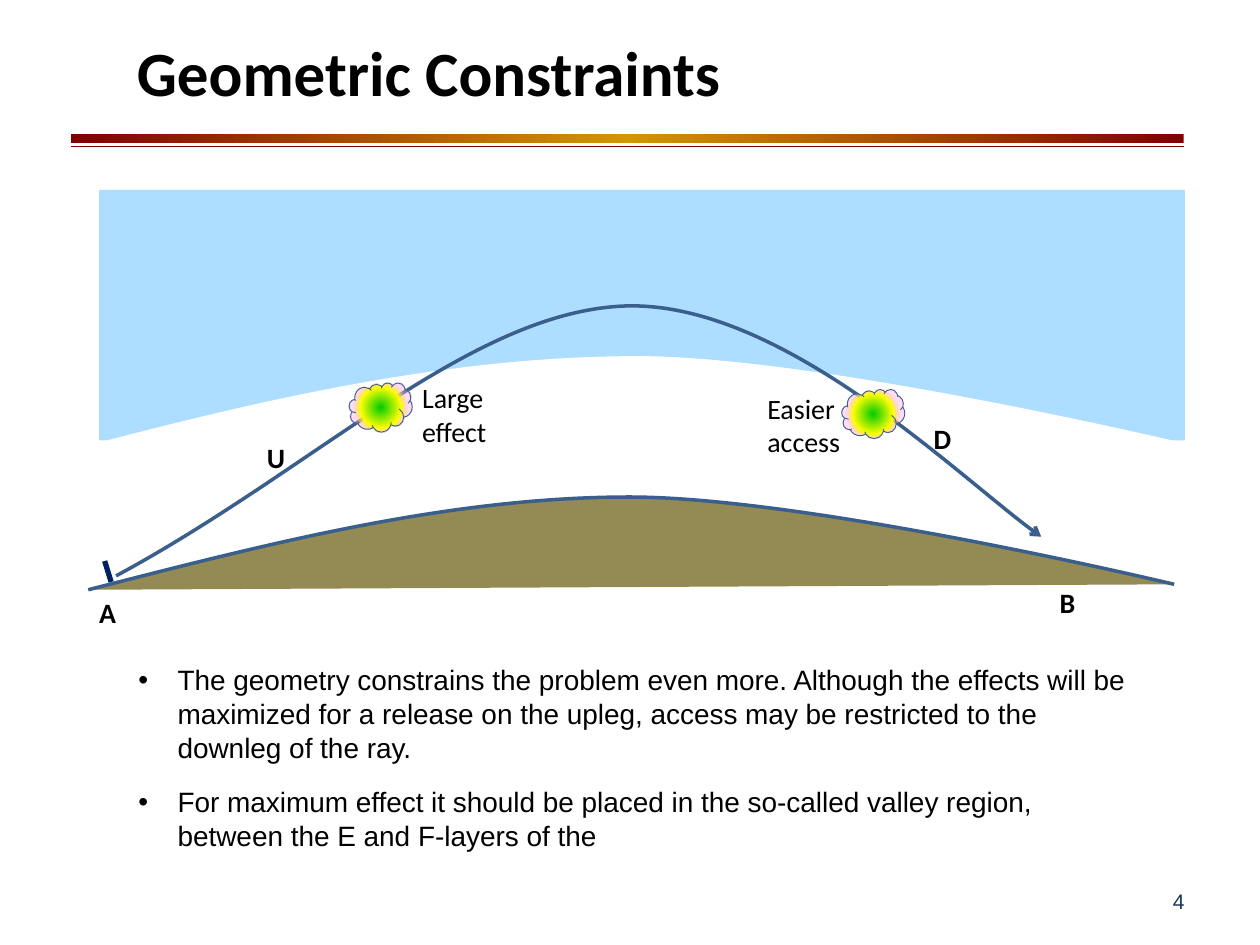
from dataclasses import dataclass

from lxml.etree import SubElement
from pptx import Presentation
from pptx.dml.color import RGBColor
from pptx.enum.shapes import MSO_CONNECTOR, MSO_SHAPE
from pptx.enum.text import MSO_ANCHOR, PP_ALIGN
from pptx.oxml import parse_xml
from pptx.oxml.ns import nsdecls, qn
from pptx.util import Cm, Pt


@dataclass(frozen=True)
class Theme:
    """Colours, fonts and type sizes of the deck."""
    ink: str = "000000"
    paper: str = "FFFFFF"
    maroon: str = "800000"
    gold: str = "D29600"
    number: str = "17375E"
    earth: str = "948A54"
    sky: str = "0096FF"
    sky_alpha: int = 32
    outline: str = "3A5F8C"
    antenna: str = "002060"
    cloud_stops: tuple = ((0, "00CC00", 100), (50, "FFFF00", 100), (69, "FFA2F3", 37))
    heading_font: str = "Calibri"
    body_font: str = "Arial"
    title_size: int = 36
    text_size: int = 16
    number_size: int = 12


THEME = Theme()


def rgb(value):
    """Turn a hex string into a colour."""
    return RGBColor.from_string(value)


def set_gradient(shape, stops, direction):
    """Fill a shape with (position, colour, opacity) stops."""
    shape.fill.gradient()
    properties = shape.element.spPr
    marks = "".join(
        f'<a:gs pos="{position * 1000}"><a:srgbClr val="{color}">'
        f'<a:alpha val="{opacity * 1000}"/></a:srgbClr></a:gs>'
        for position, color, opacity in stops)
    gradient = parse_xml(
        f'<a:gradFill {nsdecls("a")} rotWithShape="1"><a:gsLst>{marks}</a:gsLst>'
        f'{direction}</a:gradFill>')
    properties.replace(properties.find(qn("a:gradFill")), gradient)


def style_shape(shape, fill=None, line=None, width=0):
    """Set a flat fill and an outline, either of which may be absent."""
    shape.shadow.inherit = False
    if fill:
        shape.fill.solid()
        shape.fill.fore_color.rgb = rgb(fill)
    else:
        shape.fill.background()
    if line:
        shape.line.color.rgb = rgb(line)
        shape.line.width = Pt(width)
    else:
        shape.line.fill.background()


def add_line(page, start, end, color, width):
    """Draw a straight line without a shadow."""
    line = page.shapes.add_connector(
        MSO_CONNECTOR.STRAIGHT, *(Cm(value) for value in (*start, *end)))
    line.line.color.rgb = rgb(color)
    line.line.width = Pt(width)
    SubElement(line.element.spPr, qn("a:effectLst"))


def add_curve(page, origin, points, fill=None, line=None, width=0):
    """Draw an open chain of cubic curves relative to an origin."""
    places = [tuple(Cm(base + value) for base, value in zip(origin, point))
              for point in points]
    builder = page.shapes.build_freeform(*places[0])
    builder.add_line_segments(places[3::3], close=False)
    curve = builder.convert_to_shape()
    outline = next(curve.element.iter(qn("a:path")))
    for segment in outline.findall(qn("a:lnTo")):
        outline.remove(segment)
    for first in range(1, len(places), 3):
        cubic = SubElement(outline, qn("a:cubicBezTo"))
        for x, y in places[first:first + 3]:
            mark = SubElement(cubic, qn("a:pt"))
            mark.set("x", str(x - curve.left))
            mark.set("y", str(y - curve.top))
    style_shape(curve, fill, line, width)
    return curve


def add_text(page, bounds, lines, size, font, color=THEME.ink, bold=False,
             anchor=MSO_ANCHOR.TOP, align=PP_ALIGN.LEFT, bullet=False):
    """Place a text box with one paragraph per line."""
    box = page.shapes.add_textbox(*(Cm(value) for value in bounds))
    frame = box.text_frame
    frame.word_wrap = True
    frame.vertical_anchor = anchor
    for index, line in enumerate(lines):
        para = frame.add_paragraph() if index else frame.paragraphs[0]
        para.alignment = align
        if bullet:
            if index:
                para.space_before = Pt(12)
            properties = para._p.get_or_add_pPr()
            properties.set("marL", str(Cm(0.79)))
            properties.set("indent", str(-Cm(0.79)))
            SubElement(properties, qn("a:buFont")).set("typeface", font)
            SubElement(properties, qn("a:buChar")).set("char", "•")
        span = para.add_run()
        span.text = line
        span.font.size = Pt(size)
        span.font.name = font
        span.font.bold = bold
        span.font.color.rgb = rgb(color)


def add_header(page, left, top, width):
    """Place the title above its double rule."""
    bar = page.shapes.add_shape(
        MSO_SHAPE.RECTANGLE, Cm(left), Cm(top + 2.55), Cm(width), Cm(0.18))
    style_shape(bar)
    set_gradient(bar, ((0, THEME.maroon, 100), (50, THEME.gold, 100),
                       (100, THEME.maroon, 100)), '<a:lin ang="0" scaled="1"/>')
    add_line(page, (left, top + 2.81), (left + width, top + 2.81), THEME.maroon, 0.75)
    add_text(page, (left + 1.08, top + 0.01, 19.48, 2.54), ["Geometric Constraints"],
             THEME.title_size, THEME.heading_font, bold=True, anchor=MSO_ANCHOR.MIDDLE)


def add_cloud(page, left, top):
    """Draw one release cloud."""
    cloud = page.shapes.add_shape(
        MSO_SHAPE.CLOUD, Cm(left), Cm(top), Cm(1.27), Cm(0.99))
    style_shape(cloud, line=THEME.outline, width=0.5)
    set_gradient(cloud, THEME.cloud_stops,
                 '<a:path path="circle"><a:fillToRect l="50000" t="50000" '
                 'r="50000" b="50000"/></a:path>')


def add_diagram(page, left, top):
    """Draw the ray from A to B through the layer above the ground."""
    origin = (left, top)
    add_curve(page, origin, [(0, 8.05), (3.6, 7.13), (7.21, 6.19), (10.87, 6.18),
                             (14.5, 6.17), (21.89, 7.94), (21.89, 7.94)],
              THEME.earth, THEME.outline, 2)
    sky = page.shapes.add_shape(
        MSO_SHAPE.RECTANGLE, Cm(left + 0.22), Cm(top - 0.01), Cm(21.89), Cm(5.05))
    style_shape(sky, THEME.sky)
    color = sky.element.spPr.find(qn("a:solidFill"))[0]
    SubElement(color, qn("a:alpha")).set("val", str(THEME.sky_alpha * 1000))
    add_curve(page, origin, [(0.22, 5.08), (3.81, 4.14), (7.41, 3.34), (11.07, 3.34),
                             (14.73, 3.34), (22.11, 5.1), (22.11, 5.1)], THEME.paper)
    add_line(page, (left + 0.46, top + 7.89), (left + 0.33, top + 7.47),
             THEME.antenna, 3)
    ray = add_curve(page, origin, [(0.56, 7.77), (4.57, 5.61), (7.69, 2.46),
                                   (10.8, 2.33), (13.92, 2.21), (17.68, 5.91),
                                   (19.21, 6.98)], line=THEME.outline, width=2)
    SubElement(ray.element.spPr.find(qn("a:ln")), qn("a:tailEnd")).set("type", "arrow")
    for x, y in ((5.26, 3.88), (15.19, 4.01)):
        add_cloud(page, left + x, top + y)
    for letter, x, y, width in (("A", -0.03, 8.05, 0.86), ("B", 19.33, 7.84, 0.86),
                                ("U", 3.35, 4.92, 1.02), ("D", 16.79, 4.54, 1.02)):
        add_text(page, (left + x, top + y, width, 0.94), [letter],
                 THEME.text_size, THEME.heading_font, bold=True)
    for lines, x, y, width in ((("Large", "effect"), 6.48, 3.71, 1.91),
                               (("Easier", "access"), 13.44, 3.92, 2.01)):
        add_text(page, (left + x, top + y, width, 1.63), lines,
                 THEME.text_size, THEME.heading_font)


def add_notes_on_geometry(page, left, top, width, height):
    """Place the bulleted explanation."""
    add_text(page, (left, top, width, height), [
        "The geometry constrains the problem even more. Although the effects will be "
        "maximized for a release on the upleg, access may be restricted to the "
        "downleg of the ray.",
        "For maximum effect it should be placed in the so-called valley region, "
        "between the E and F-layers of the",
    ], THEME.text_size, THEME.body_font, bullet=True)


def main():
    """Build and save the deck."""
    deck = Presentation()
    deck.slide_width, deck.slide_height = Cm(25.4), Cm(19.05)
    page = deck.slides.add_slide(deck.slide_layouts[6])
    add_header(page, 1.43, 0.15, 22.43)
    add_diagram(page, 1.78, 3.84)
    add_notes_on_geometry(page, 2.54, 13.24, 20.7, 3.84)
    add_text(page, (18.21, 17.65, 5.92, 1.02), ["4"], THEME.number_size,
             THEME.body_font, THEME.number, anchor=MSO_ANCHOR.MIDDLE,
             align=PP_ALIGN.RIGHT)
    deck.save("out.pptx")


if __name__ == "__main__":
    main()
